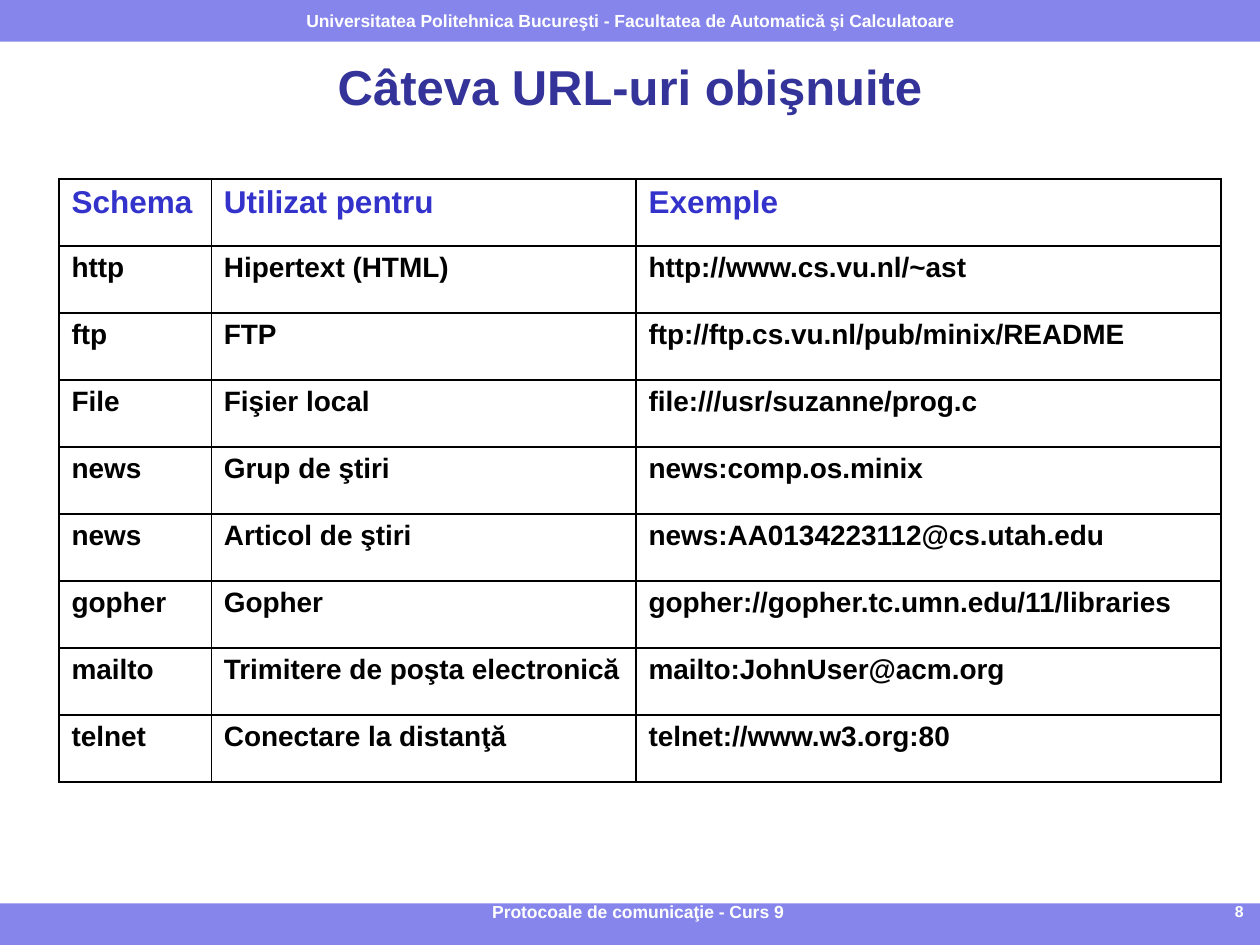
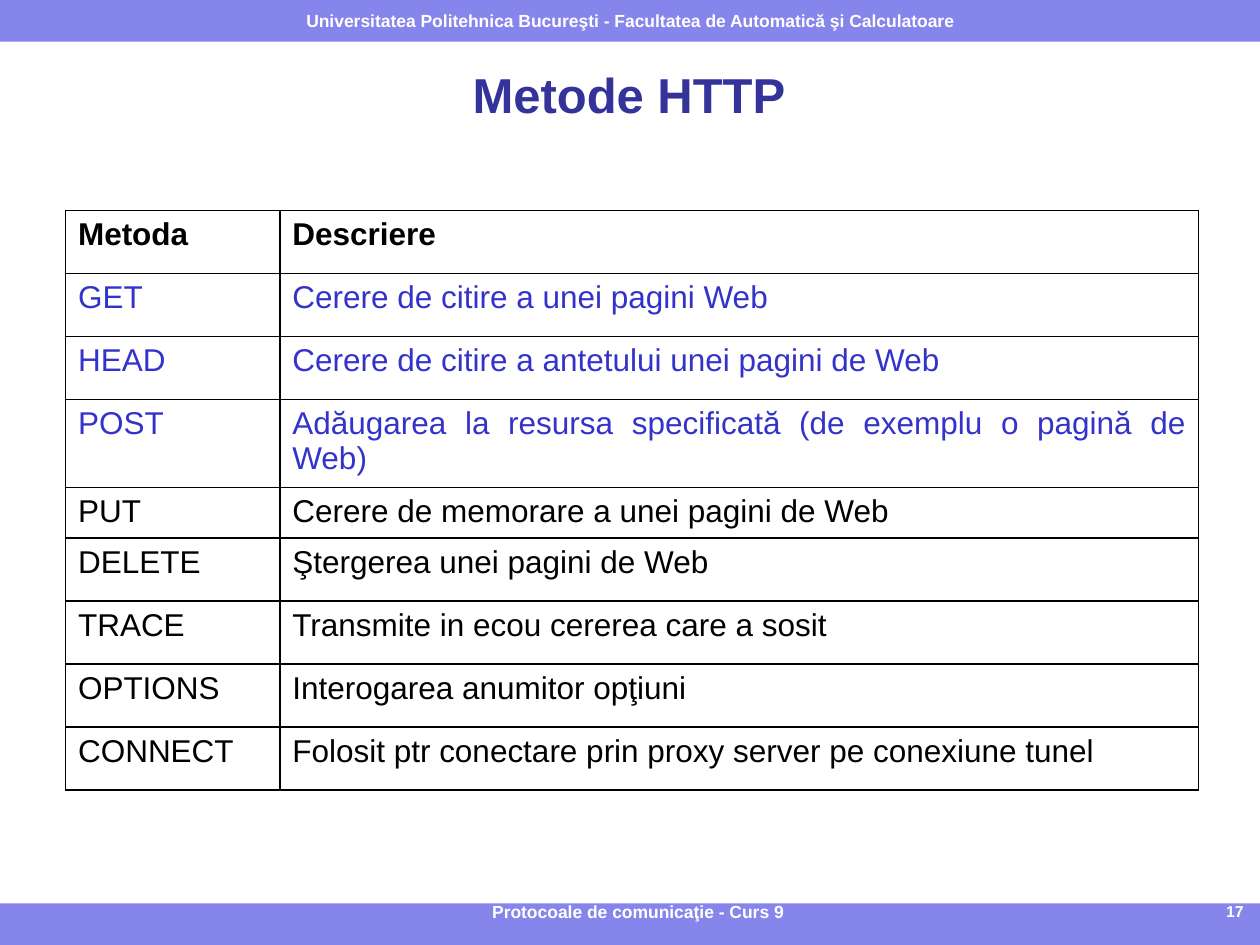
import pptx
import pptx.dml.color
import pptx.enum.shapes
import pptx.enum.text
import pptx.oxml
import pptx.oxml.ns
import pptx.util

Cm = pptx.util.Cm
Align = pptx.enum.text.PP_ALIGN
Anchor = pptx.enum.text.MSO_ANCHOR

PAGE_WIDTH, PAGE_HEIGHT, BAND_HEIGHT = 25.4, 19.05, 0.84
FOOTER_TOP = 18.17
BAND, TITLE, ACCENT = "8585EB", "333399", "3333CC"
BLACK, WHITE = "000000", "FFFFFF"
HEADER = "Universitatea Politehnica Bucureşti - Facultatea de Automatică şi Calculatoare"
FOOTER = "Protocoale de comunicaţie - Curs 9"

URL_ROWS = [
    ("Schema", "Utilizat pentru", "Exemple"),
    ("http", "Hipertext (HTML)", "http://www.cs.vu.nl/~ast"),
    ("ftp", "FTP", "ftp://ftp.cs.vu.nl/pub/minix/README"),
    ("File", "Fişier local", "file:///usr/suzanne/prog.c"),
    ("news", "Grup de ştiri", "news:comp.os.minix"),
    ("news", "Articol de ştiri", "news:AA0134223112@cs.utah.edu"),
    ("gopher", "Gopher", "gopher://gopher.tc.umn.edu/11/libraries"),
    ("mailto", "Trimitere de poşta electronică", "mailto:JohnUser@acm.org"),
    ("telnet", "Conectare la distanţă", "telnet://www.w3.org:80"),
]
METHOD_ROWS = [
    ("Metoda", "Descriere"),
    ("GET", "Cerere de citire a unei pagini Web"),
    ("HEAD", "Cerere de citire a antetului unei pagini de Web"),
    ("POST", "Adăugarea la resursa specificată (de exemplu o pagină de Web)"),
    ("PUT", "Cerere de memorare a unei pagini de Web"),
    ("DELETE", "Ştergerea unei pagini de Web"),
    ("TRACE", "Transmite in ecou cererea care a sosit"),
    ("OPTIONS", "Interogarea anumitor opţiuni"),
    ("CONNECT", "Folosit ptr conectare prin proxy server pe conexiune tunel"),
]


def color(value):
    return pptx.dml.color.RGBColor.from_string(value)


def draw_borders(cell):
    """Put a thin black line on all four sides of a table cell."""
    properties = cell._tc.get_or_add_tcPr()
    for side in "LRTB":
        properties.append(pptx.oxml.parse_xml(
            f'<a:ln{side} {pptx.oxml.ns.nsdecls("a")} w="12700">'
            f'<a:solidFill><a:srgbClr val="{BLACK}"/></a:solidFill></a:ln{side}>'))


class CourseDeck:
    """Holds the deck's style and the page being filled."""

    font_name = "Arial"

    def __init__(self):
        self.deck = pptx.Presentation()
        self.deck.slide_width = Cm(PAGE_WIDTH)
        self.deck.slide_height = Cm(PAGE_HEIGHT)
        self.page = None

    def new_page(self, number):
        self.page = self.deck.slides.add_slide(self.deck.slide_layouts[6])
        self.band(PAGE_HEIGHT - BAND_HEIGHT)
        header = self.band(0).text_frame
        header.word_wrap = False
        header.vertical_anchor = Anchor.MIDDLE
        self.fill_frame(header, HEADER, 10, WHITE, Align.CENTER)
        self.text((19.48, FOOTER_TOP, 5.84, 0.76), str(number), 9, WHITE, Align.RIGHT)
        self.text((6.55, FOOTER_TOP, 12.62, 0.76), FOOTER, 10, WHITE)

    def fill_frame(self, frame, words, size, ink, align, bold=True):
        para = frame.paragraphs[0]
        para.text = words
        para.alignment = align
        para.font.name = self.font_name
        para.font.size = pptx.util.Pt(size)
        para.font.bold = bold
        para.font.color.rgb = color(ink)

    def band(self, top):
        shape = self.page.shapes.add_shape(
            pptx.enum.shapes.MSO_SHAPE.RECTANGLE,
            0, Cm(top), Cm(PAGE_WIDTH), Cm(BAND_HEIGHT))
        shape.shadow.inherit = False
        shape.fill.solid()
        shape.fill.fore_color.rgb = color(BAND)
        shape.line.fill.background()
        return shape

    def text(self, place, words, size, ink, align=Align.CENTER, anchor=Anchor.TOP):
        frame = self.page.shapes.add_textbox(*map(Cm, place)).text_frame
        frame.word_wrap = True
        frame.vertical_anchor = anchor
        frame.margin_top = frame.margin_bottom = 0
        self.fill_frame(frame, words, size, ink, align)

    def title(self, place, words):
        self.text(place, words, 28, TITLE, anchor=Anchor.MIDDLE)

    def table(self, left, top, widths, heights, rows, header_ink, body_size,
              body_bold, accent_rows=()):
        grid = self.page.shapes.add_table(
            len(rows), len(widths), Cm(left), Cm(top),
            Cm(sum(widths)), Cm(sum(heights))).table
        grid.first_row = grid.horz_banding = False
        for column, width in zip(grid.columns, widths):
            column.width = Cm(width)
        for index, (row, height, entries) in enumerate(zip(grid.rows, heights, rows)):
            row.height = Cm(height)
            for cell, words in zip(row.cells, entries):
                draw_borders(cell)
                cell.fill.background()
                if index == 0:
                    self.fill_frame(cell.text_frame, words, 18, header_ink, Align.LEFT)
                else:
                    ink = ACCENT if index in accent_rows else BLACK
                    self.fill_frame(cell.text_frame, words, body_size, ink,
                                    Align.JUSTIFY, body_bold)


def main():
    course = CourseDeck()

    course.new_page(8)
    course.title((0, 0.79, PAGE_WIDTH, 1.88), "Câteva URL-uri obişnuite")
    course.table(1.19, 3.61, [3.07, 8.56, 11.79], [1.35] * len(URL_ROWS),
                 URL_ROWS, ACCENT, body_size=16, body_bold=True)

    course.new_page(17)
    course.title((1.07, 1.14, 23.22, 1.52), "Metode HTTP")
    course.table(1.32, 4.24, [4.32, 18.52],
                 [1.27] * 3 + [1.78, 1.02] + [1.27] * 4,
                 METHOD_ROWS, BLACK, body_size=18, body_bold=False,
                 accent_rows=(1, 2, 3))

    course.deck.save("out.pptx")


if __name__ == "__main__":
    main()
